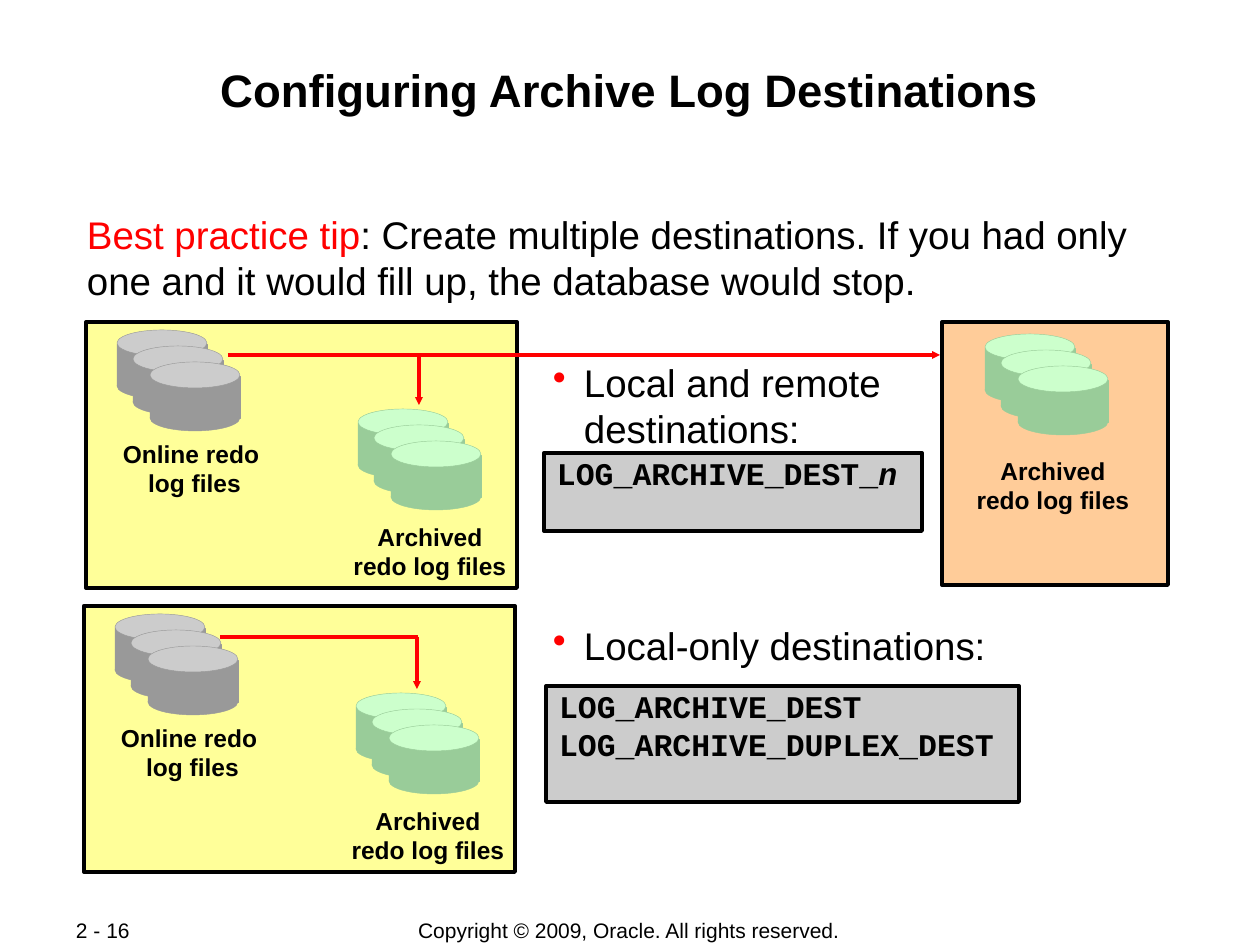
from dataclasses import dataclass

from lxml.etree import SubElement
from pptx import Presentation
from pptx.dml.color import RGBColor
from pptx.enum.shapes import MSO_CONNECTOR as Connector, MSO_SHAPE as Shape
from pptx.enum.text import MSO_ANCHOR as Anchor, MSO_AUTO_SIZE as AutoSize, PP_ALIGN as Align
from pptx.oxml.ns import qn
from pptx.util import Emu, Pt

PX_PER_INCH = 126


def px(length):
    """Turn px into EMU."""
    return Emu(round(length * 914400 / PX_PER_INCH))


@dataclass(frozen=True)
class Theme:
    sans: str = "Arial"
    mono: str = "Courier New"
    ink: str = "000000"
    accent: str = "FF0000"
    local: str = "FFFF99"
    remote: str = "FFCC99"
    code_fill: str = "CCCCCC"
    online: tuple = ("999999", "CCCCCC")    # side, top
    archived: tuple = ("99CC99", "CCFFCC")  # side, top
    title_size: int = 26
    body_size: int = 22
    code_size: int = 18
    label_size: int = 14
    footer_size: int = 12
    rule: float = 2.25
    hairline: float = 0.25


def write(shape, text, font, size, color, bold=False, align=Align.LEFT,
          anchor=Anchor.TOP, inset=(1, 1), wrap=True, grow=False, bullet=None):
    """Fill a shape with lines; a line is a string or a list of
    (text, font overrides) spans. inset is (sides, top) in px."""
    frame = shape.text_frame
    frame.word_wrap = wrap
    if grow:
        frame.auto_size = AutoSize.SHAPE_TO_FIT_TEXT
    frame.vertical_anchor = anchor
    frame.margin_left = frame.margin_right = px(inset[0])
    frame.margin_top = px(inset[1])
    frame.margin_bottom = px(min(inset))
    lines = [text] if isinstance(text, str) else text
    for index, line in enumerate(lines):
        para = frame.paragraphs[0] if index == 0 else frame.add_paragraph()
        para.alignment = align
        if bullet:
            add_bullet(para, bullet)
        for words, changes in [(line, {})] if isinstance(line, str) else line:
            span = para.add_run()
            span.text = words
            span.font.name = font
            span.font.size = Pt(size)
            span.font.bold = bold
            span.font.italic = changes.get("italic", False)
            span.font.color.rgb = RGBColor.from_string(changes.get("color", color))


def add_bullet(para, color):
    props = para._p.get_or_add_pPr()
    props.set("marL", str(px(47)))
    props.set("indent", str(-px(31)))
    SubElement(SubElement(props, qn("a:buClr")), qn("a:srgbClr"), val=color)
    SubElement(props, qn("a:buChar"), char="•")


class Page:
    def __init__(self, slide, theme):
        self.shapes = slide.shapes
        self.theme = theme

    def text(self, text, left, top, width, height, **style):
        box = self.shapes.add_textbox(px(left), px(top), px(width), px(height))
        look = dict(font=self.theme.sans, size=self.theme.body_size,
                    color=self.theme.ink)
        write(box, text, **{**look, **style})

    def solid(self, kind, left, top, width, height, fill, line, weight, parent=None):
        shape = (parent or self).shapes.add_shape(
            kind, px(left), px(top), px(width), px(height))
        shape.shadow.inherit = False
        shape.fill.solid()
        shape.fill.fore_color.rgb = RGBColor.from_string(fill)
        shape.line.color.rgb = RGBColor.from_string(line)
        shape.line.width = Pt(weight)
        return shape

    def panel(self, left, top, width, height, fill):
        return self.solid(Shape.RECTANGLE, left, top, width, height, fill,
                          self.theme.ink, self.theme.rule)

    def code(self, lines, left, top, width, height):
        write(self.panel(left, top, width, height, self.theme.code_fill), lines,
              font=self.theme.mono, size=self.theme.code_size, color=self.theme.ink,
              bold=True, inset=(13, 1))

    def label(self, lines, left, top, width):
        self.text(lines, left, top, width, 72, size=self.theme.label_size, bold=True,
                  align=Align.CENTER, inset=(6, 6), wrap=False, grow=True)

    def footer(self, text, left, width, align):
        self.text(text, left, 917, width, 26, size=self.theme.footer_size, align=align,
                  anchor=Anchor.MIDDLE, inset=(13, 6), wrap=False)

    def bullet(self, text, top, height):
        self.text(text, 536, top, 546, height, bullet=self.theme.accent, inset=(1, 2))

    def log_files(self, left, top, colors):
        """Three overlapping cylinders, grouped."""
        side, lid = colors
        group = self.shapes.add_group_shape()
        for right, down in ((0, 0), (16, 16), (33, 32)):
            for kind, drop, height, fill in ((Shape.RECTANGLE, 14, 42, side),
                                             (Shape.OVAL, 0, 26, lid),
                                             (Shape.OVAL, 43, 26, side)):
                self.solid(kind, left + right, top + down + drop, 90, height,
                           fill, side, self.theme.hairline, group)

    def line(self, start, end, arrow=True):
        line = self.shapes.add_connector(Connector.STRAIGHT, *map(px, start + end))
        line.line.color.rgb = RGBColor.from_string(self.theme.accent)
        line.line.width = Pt(self.theme.rule)
        if arrow:
            SubElement(line.line._get_or_add_ln(), qn("a:tailEnd"),
                       type="triangle", w="sm", len="sm")
        SubElement(line._element.spPr, qn("a:effectLst"))

    def local_site(self, left, top):
        """Panel with online files and the archived files below them."""
        self.panel(left, top, 431, 266, self.theme.local)
        self.log_files(left + 31, top + 8, self.theme.online)
        self.log_files(left + 272, top + 87, self.theme.archived)
        self.label(["Online redo ", "log files"], left + 24, top + 111, 169)
        self.label(ARCHIVED_LABEL, left + 255, top + 194, 178)


ARCHIVED_LABEL = ["Archived", "redo log files"]


def main():
    deck = Presentation()
    deck.slide_width, deck.slide_height = px(1260), px(945)
    theme = Theme()
    page = Page(deck.slides.add_slide(deck.slide_layouts[6]), theme)

    page.footer("Copyright © 2009, Oracle. All rights reserved.", 346, 566, Align.CENTER)
    page.footer("2 - 16", 63, 134, Align.LEFT)
    page.text("Configuring Archive Log Destinations", 84, 60, 1091, 121,
              size=theme.title_size, bold=True, align=Align.CENTER, inset=(1, 2))
    page.text([[("Best practice tip", {"color": theme.accent}),
                (": Create multiple destinations. If you had only one and it "
                 "would fill up, the database would stop.", {})]],
              85, 209, 1091, 96, inset=(2, 2))

    # Local-only destinations
    page.local_site(84, 606)
    page.line((417, 637), (417, 689))
    page.line((418, 637), (220, 637), arrow=False)
    page.code(["LOG_ARCHIVE_DEST", "LOG_ARCHIVE_DUPLEX_DEST"], 546, 686, 473, 116)
    page.bullet("Local-only destinations:", 620, 49)

    # Local and remote destinations
    page.panel(942, 322, 226, 263, theme.remote)
    page.log_files(985, 334, theme.archived)
    page.label(ARCHIVED_LABEL, 964, 450, 178)
    page.local_site(86, 322)
    page.line((228, 355), (940, 355))
    page.line((419, 356), (419, 405))
    page.code([[("LOG_ARCHIVE_DEST_", {}), ("n", {"italic": True})]], 544, 453, 378, 78)
    page.bullet("Local and remote destinations:", 357, 96)

    deck.save("out.pptx")


if __name__ == "__main__":
    main()
